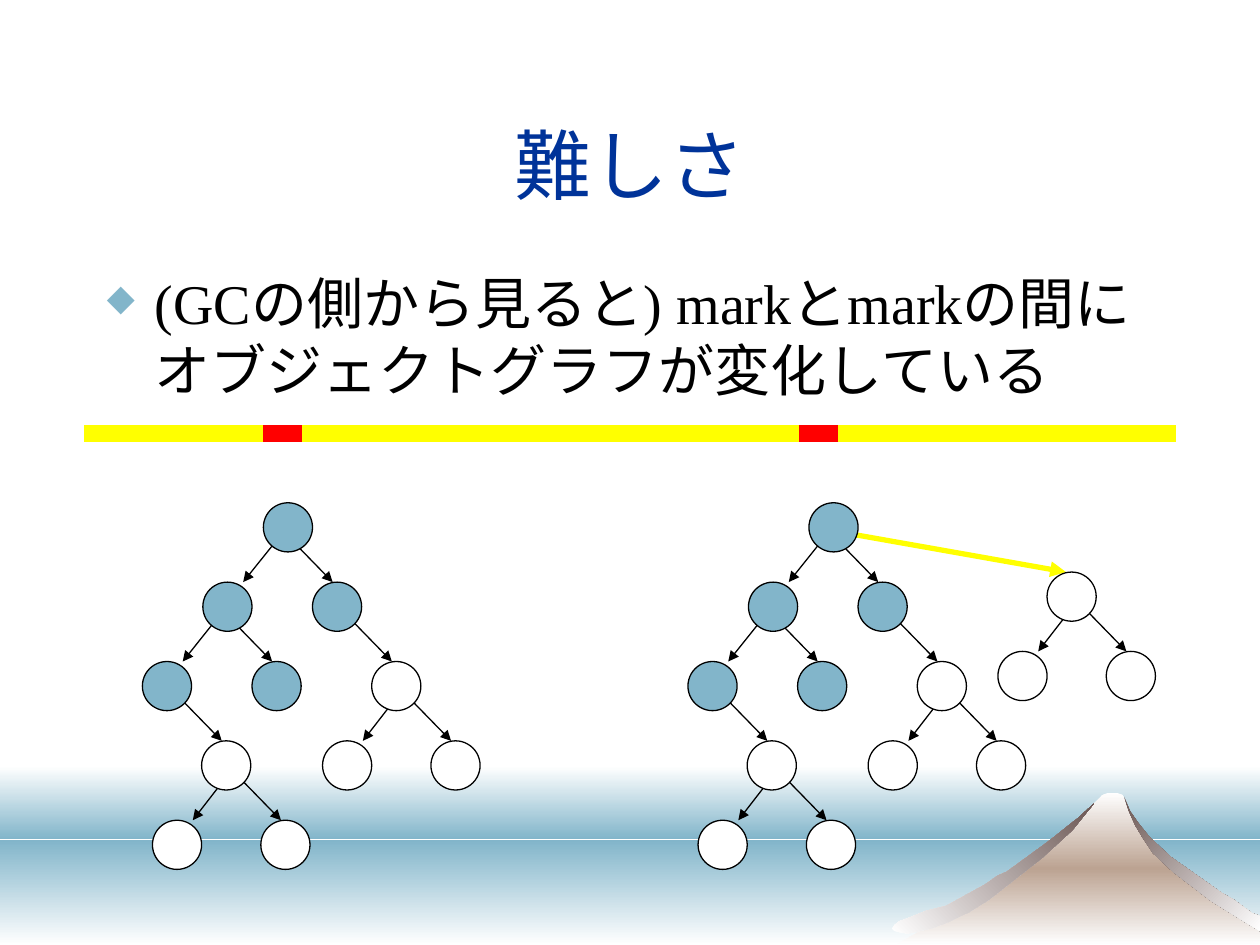
from copy import deepcopy
from lxml import etree
from pptx import Presentation
from pptx import util as u
from pptx.dml.color import RGBColor
from pptx.enum import shapes, text
from pptx.oxml.ns import qn

WHITE = RGBColor(0xFF, 0xFF, 0xFF)
BLACK = RGBColor(0, 0, 0)
BLUE = RGBColor(0x82, 0xB5, 0xCA)
NAVY = RGBColor(0, 0x33, 0x99)
YELLOW = RGBColor(0xFF, 0xFF, 0)
RED = RGBColor(0xFF, 0, 0)
SAND = RGBColor(0xBC, 0xA3, 0x92)
BROWN = RGBColor(0x6B, 0x56, 0x53)

FONT = "Times New Roman"
SIZE = 0.39  # node diameter
DROP = 0.63  # from one tree level to the next

# How a node spreads: left child dx, right child dx, start of its arrows
WEST = (-0.48, 0.39, 0.16)
EAST = (-0.39, 0.47, 0.24)

# Node: fill, spread, left child, right child
LEAF = (WHITE, EAST, None, None)
FORK = (WHITE, EAST, LEAF, LEAF)
DONE = (BLUE, EAST, None, None)
TREE = (BLUE, WEST,
        (BLUE, WEST, (BLUE, EAST, None, FORK), DONE),
        (BLUE, EAST, None, FORK))

HILL = [(7.11, 7.5), (7.9, 7.05), (8.4, 6.66), (8.69, 6.37), (8.75, 6.31),
        (8.8, 6.29), (8.86, 6.29), (8.91, 6.31), (9.03, 6.57), (9.22, 6.8),
        (9.68, 7.12), (10, 7.33), (10, 7.5)]
RIGHT = [(9.15, 6.77), (9.31, 6.92), (9.48, 7.05), (9.61, 7.15), (9.9, 7.33),
         (10, 7.39), (10, 7.27), (9.94, 7.25), (9.79, 7.14), (9.7, 7.09),
         (9.29, 6.8), (9.12, 6.64), (9.04, 6.54), (8.97, 6.44), (8.92, 6.32),
         (8.96, 6.44), (9.01, 6.55), (9.07, 6.65)]
LEFT = [(8.32, 6.68), (7.99, 6.92), (7.92, 6.95), (7.82, 7.02), (7.51, 7.19),
        (7.35, 7.23), (7.2, 7.29), (7.14, 7.31), (7.1, 7.34), (7.08, 7.37),
        (7.1, 7.39), (7.14, 7.4), (7.2, 7.41), (7.3, 7.39), (7.39, 7.37),
        (7.5, 7.33), (7.69, 7.24), (7.85, 7.14), (8.27, 6.81), (8.51, 6.59),
        (8.64, 6.43), (8.68, 6.38), (8.56, 6.49)]


def inch(*nums):
    return [u.Inches(n) for n in nums]


def shade(shape, hues, angle):
    """Fill with evenly spaced colours; the angle runs clockwise."""
    shape.shadow.inherit = False
    shape.line.fill.background()
    fill = shape.fill
    fill.gradient()
    fill.gradient_angle = (360 - angle) % 360
    stops = fill._fill._gradFill.gsLst
    while len(stops) < len(hues):
        stops.append(deepcopy(stops[0]))
    for i, (stop, hue) in enumerate(zip(fill.gradient_stops, hues)):
        stop.color.rgb = hue
        stop.position = i / (len(hues) - 1)


def band(slide, top, high, hues):
    box = slide.shapes.add_shape(shapes.MSO_SHAPE.RECTANGLE,
                                 *inch(0, top, 10, high))
    shade(box, hues, 90)


def slope(slide, dots, hues, angle):
    first, *rest = [inch(*dot) for dot in dots]
    pen = slide.shapes.build_freeform(*first)
    pen.add_line_segments(rest, close=True)
    shade(pen.convert_to_shape(), hues, angle)


def line(slide, start, end, hue=BLACK, width=0.75, arrow=True):
    rod = slide.shapes.add_connector(shapes.MSO_CONNECTOR.STRAIGHT,
                                     *inch(*start, *end))
    rod.line.color.rgb = hue
    rod.line.width = u.Pt(width)
    if arrow:
        etree.SubElement(rod.line._get_or_add_ln(), qn("a:tailEnd"),
                         type="triangle")
    etree.SubElement(rod._element.spPr, qn("a:effectLst"))


def node(slide, x, y, hue):
    disc = slide.shapes.add_shape(shapes.MSO_SHAPE.OVAL,
                                  *inch(x, y, SIZE, SIZE))
    disc.shadow.inherit = False
    disc.fill.solid()
    disc.fill.fore_color.rgb = hue
    disc.line.color.rgb = BLACK
    disc.line.width = u.Pt(0.75)


def tree(slide, x, y, root):
    """Draw a node over its arrows, and its children below it."""
    hue, (west, east, start), left, right = root
    for kid, dx, tip in ((left, west, 0.32), (right, east, 0.16)):
        if kid:
            line(slide, (x + start, y + 0.23), (x + dx + tip, y + DROP))
            tree(slide, x + dx, y + DROP, kid)
    node(slide, x, y, hue)


def words(slide, place, copy, size, hue, frame):
    box = slide.shapes.add_textbox(*inch(*place)).text_frame
    for key, val in {"word_wrap": True, **frame}.items():
        setattr(box, key, val)
    para = box.paragraphs[0]
    para.add_run().text = copy
    font = para.runs[0].font
    for key, val in {"name": FONT, "size": u.Pt(size)}.items():
        setattr(font, key, val)
    font.color.rgb = hue
    return para


def bullet(para, indent):
    props = para._p.get_or_add_pPr()
    props.set("marL", str(u.Inches(indent)))
    props.set("indent", str(-u.Inches(indent)))
    tint = etree.SubElement(props, qn("a:buClr"))
    etree.SubElement(tint, qn("a:srgbClr"), val=str(BLUE))
    etree.SubElement(props, qn("a:buSzPct"), val="65000")
    etree.SubElement(props, qn("a:buChar"), char="◆")


def scene(slide):
    band(slide, 6.08, 0.58, (WHITE, BLUE))
    band(slide, 6.67, 0.83, (BLUE, WHITE))
    slope(slide, HILL, (WHITE, SAND, WHITE), 90)
    slope(slide, RIGHT, (BROWN, WHITE), 45)
    slope(slide, LEFT, (WHITE, BROWN), 315)


def main():
    deck = Presentation()
    deck.slide_width, deck.slide_height = inch(10, 7.5)
    slide = deck.slides.add_slide(deck.slide_layouts[6])
    scene(slide)
    title = words(slide, (0.75, 0.67, 8.5, 1.25), "難しさ", 44, NAVY,
                  {"vertical_anchor": text.MSO_ANCHOR.MIDDLE})
    title.alignment = text.PP_ALIGN.CENTER
    body = words(
        slide, (0.75, 2.08, 8.5, 4.5),
        "(GCの側から見ると) markとmarkの間にオブジェクトグラフが変化している",
        32, BLACK, {"vertical_anchor": text.MSO_ANCHOR.TOP})
    bullet(body, 0.38)

    for x, end, hue in ((0.67, 9.33, YELLOW), (2.09, 2.4, RED),
                        (6.34, 6.65, RED)):
        line(slide, (x, 3.44), (end, 3.44), hue, 10, arrow=False)

    tree(slide, 2.09, 3.99, TREE)
    line(slide, (6.65, 4.22), (8.46, 4.54), YELLOW, 3)
    tree(slide, 6.42, 3.99, TREE)
    tree(slide, 8.31, 4.54, FORK)
    deck.save("out.pptx")


if __name__ == "__main__":
    main()
